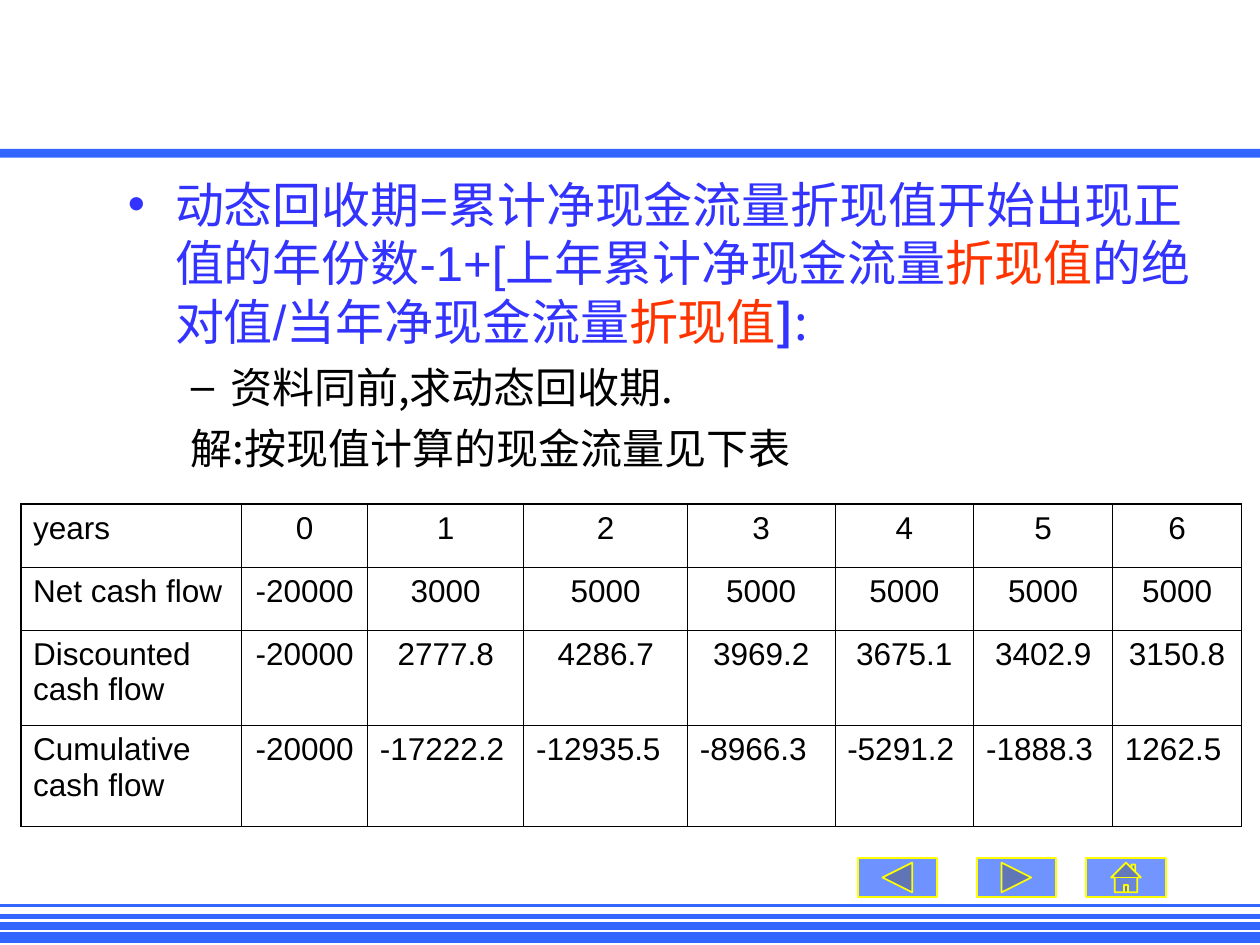
import pptx
import pptx.dml.color
import pptx.enum.shapes
import pptx.enum.text
import pptx.oxml
import pptx.oxml.ns
import pptx.util

Cm, Pt = pptx.util.Cm, pptx.util.Pt
Kind = pptx.enum.shapes.MSO_SHAPE
Align = pptx.enum.text.PP_ALIGN
qn = pptx.oxml.ns.qn
SPACE = 'xmlns:a="http://schemas.openxmlformats.org/drawingml/2006/main"'

BLUE, INK, RED, BLACK = "3366FF", "3333FF", "FF3300", "000000"
YELLOW, WHITE = "FFFF00", "FFFFFF"
CJK = "Noto Sans CJK SC"


def tint(code):
    return pptx.dml.color.RGBColor.from_string(code)


def node(text):
    """Parse one drawing element; its tag carries no namespace declaration."""
    name, rest = text[:text.index(">")].rstrip("/"), text[text.index(">"):]
    close = "/" if text[:text.index(">")].endswith("/") else ""
    return pptx.oxml.parse_xml(f"{name} {SPACE}{close}{rest}")


def apply(item, values):
    for key, value in values.items():
        setattr(item, key, value)


class Deck:
    font = "Arial"
    inset = {"margin_left": Cm(0.25), "margin_right": Cm(0.25),
             "margin_top": Cm(0.13), "margin_bottom": Cm(0.13)}

    def __init__(self, wide, high):
        self.file = pptx.Presentation()
        apply(self.file, {"slide_width": Cm(wide), "slide_height": Cm(high)})
        self.slide = self.file.slides.add_slide(self.file.slide_layouts[6])
        self.wide = wide

    def shape(self, kind, box, fill, line=None, alpha=None):
        item = self.slide.shapes.add_shape(kind, *map(Cm, box))
        item.shadow.inherit = False
        item.fill.solid()
        item.fill.fore_color.rgb = tint(fill)
        if alpha:
            color = item.fill._xPr.find(qn("a:solidFill"))[0]
            color.append(node(f'<a:alpha val="{alpha * 1000}"/>'))
        if line:
            item.line.color.rgb = tint(line)
            item.line.width = Pt(1)
        else:
            item.line.fill.background()

    def rule(self, top, width):
        item = self.slide.shapes.add_connector(
            pptx.enum.shapes.MSO_CONNECTOR.STRAIGHT,
            Cm(0), Cm(top), Cm(self.wide), Cm(top))
        item.line.color.rgb = tint(BLUE)
        item.line.width = Pt(width)
        item._element.spPr.append(node("<a:effectLst/>"))

    def run(self, para, text, size, color, font=None, bold=False):
        item = para.add_run()
        item.text = text
        apply(item.font, {"size": Pt(size), "name": font or self.font,
                          "bold": bold})
        item.font.color.rgb = tint(color)

    def text(self, box, paras):
        """Each paragraph is (left, hang, space, bullet, colour, size, runs)."""
        frame = self.slide.shapes.add_textbox(*map(Cm, box)).text_frame
        apply(frame, self.inset | {"word_wrap": True})
        for place, (left, hang, space, mark, color, size, runs) in enumerate(paras):
            para = frame.add_paragraph() if place else frame.paragraphs[0]
            para.space_before = Pt(space)
            props = para._p.get_or_add_pPr()
            props.set("marL", str(Cm(left)))
            props.set("indent", str(-Cm(hang)))
            if mark:
                props.append(node(f'<a:buClr><a:srgbClr val="{color}"/></a:buClr>'))
                props.append(node('<a:buFont typeface="Arial"/>'))
                props.append(node(f'<a:buChar char="{mark}"/>'))
            else:
                props.append(node("<a:buNone/>"))
            for words, *look in runs:
                self.run(para, words, size, *look)

    def edge(self, cell, side, width):
        cell._tc.get_or_add_tcPr().append(node(
            f'<a:ln{side} w="{Pt(width)}"><a:solidFill>'
            f'<a:srgbClr val="{BLACK}"/></a:solidFill></a:ln{side}>'))

    def table(self, left, top, wides, highs, rows):
        grid = self.slide.shapes.add_table(
            len(highs), len(wides), Cm(left), Cm(top),
            Cm(sum(wides)), Cm(sum(highs))).table
        apply(grid, {"first_row": False, "horz_banding": False})
        for col, wide in zip(grid.columns, wides):
            col.width = Cm(wide)
        for row, high in zip(grid.rows, highs):
            row.height = Cm(high)
        last, end = len(highs) - 1, len(wides) - 1
        for r, row in enumerate(rows):
            for c, words in enumerate(row):
                cell = grid.cell(r, c)
                apply(cell, self.inset)
                outer = {"L": c == 0, "R": c == end, "T": r == 0, "B": r == last}
                for side, rim in outer.items():
                    self.edge(cell, side, 1.08 if rim else 0.45)
                cell.fill.solid()
                cell.fill.fore_color.rgb = tint(WHITE)
                para = cell.text_frame.paragraphs[0]
                flush = c == 0 or (r == last and c > 1)
                para.alignment = Align.LEFT if flush else Align.CENTER
                self.run(para, words, 18, BLACK)


def main():
    deck = Deck(25.4, 19.05)
    deck.shape(Kind.RECTANGLE, (0, 3, 25.4, 0.18), BLUE)
    deck.rule(18.9, 6)
    for kind, left, alpha in (
            (Kind.ACTION_BUTTON_FORWARD_OR_NEXT, 19.69, 70),
            (Kind.ACTION_BUTTON_BACK_OR_PREVIOUS, 17.29, 71),
            (Kind.ACTION_BUTTON_HOME, 21.9, 69)):
        deck.shape(kind, (left, 17.29, 1.6, 0.8), BLUE, YELLOW, alpha)
    for top, width in ((18.67, 4.5), (18.47, 3), (18.26, 1.5)):
        deck.rule(top, width)

    deck.text((2.33, 3.38, 22.03, 11.43), [
        (0.95, 0.95, 0, "•", INK, 28, [
            ("动态回收期=累计净现金流量折现值开始出现正值的年份数-1+[上年累计净现金流量", INK),
            ("折现值", RED),
            ("的绝对值/", INK),
            ("当年净现金流量", INK, CJK),
            ("折现值", RED, CJK),
            ("]", INK, CJK, True),
            (":", INK, CJK)]),
        (2.06, 0.79, 6, "–", BLACK, 24, [("资料同前,求动态回收期.", BLACK, CJK)]),
        (2.06, 0.79, 6, "", BLACK, 24, [("解:按现值计算的现金流量见下表", BLACK, CJK)]),
    ])

    deck.table(
        0.42, 10.16,
        (4.45, 2.54, 3.15, 3.3, 2.97, 2.8, 2.8, 2.6), (1.27, 1.27, 1.93, 2.03), (
            ("years", *map(str, range(7))),
            ("Net cash flow", "-20000", "3000", *["5000"] * 5),
            ("Discounted cash flow", "-20000", "2777.8", "4286.7",
             "3969.2", "3675.1", "3402.9", "3150.8"),
            ("Cumulative cash flow", "-20000", "-17222.2", "-12935.5",
             "-8966.3", "-5291.2", "-1888.3", "1262.5")))
    deck.file.save("out.pptx")


if __name__ == "__main__":
    main()
